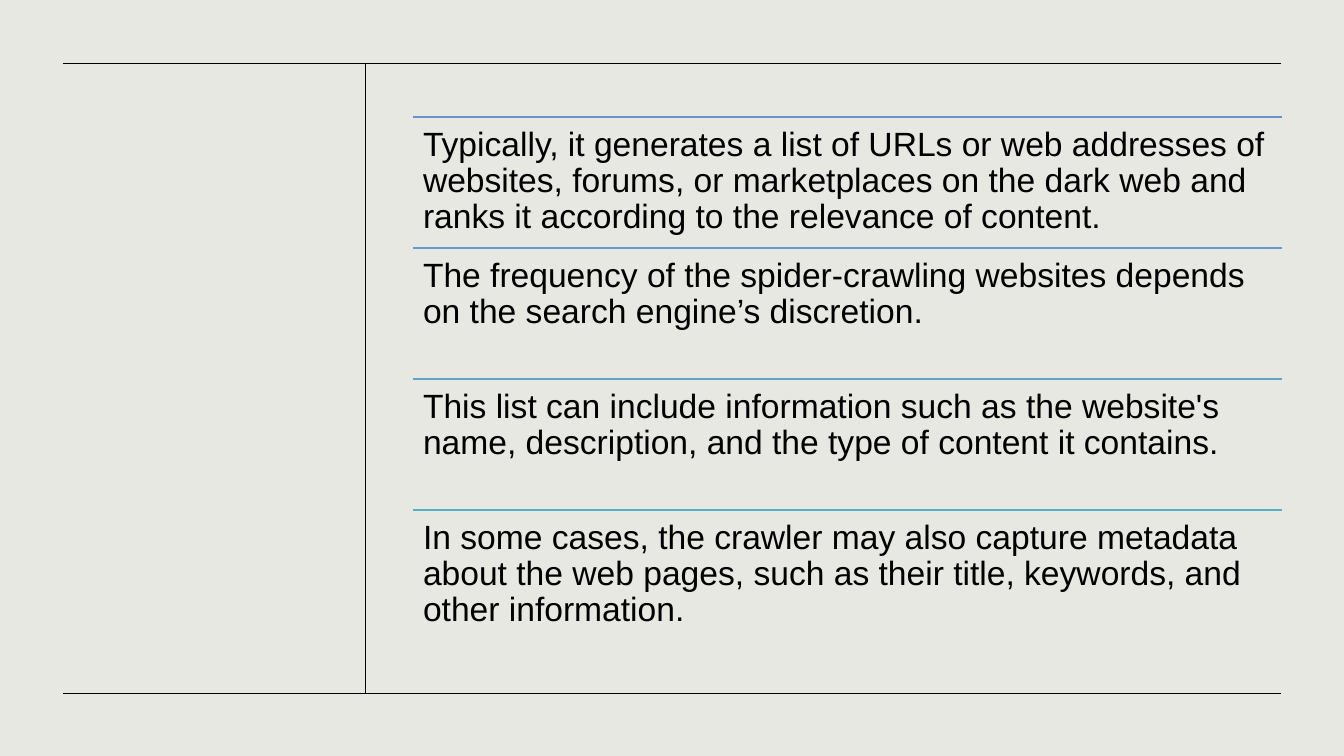
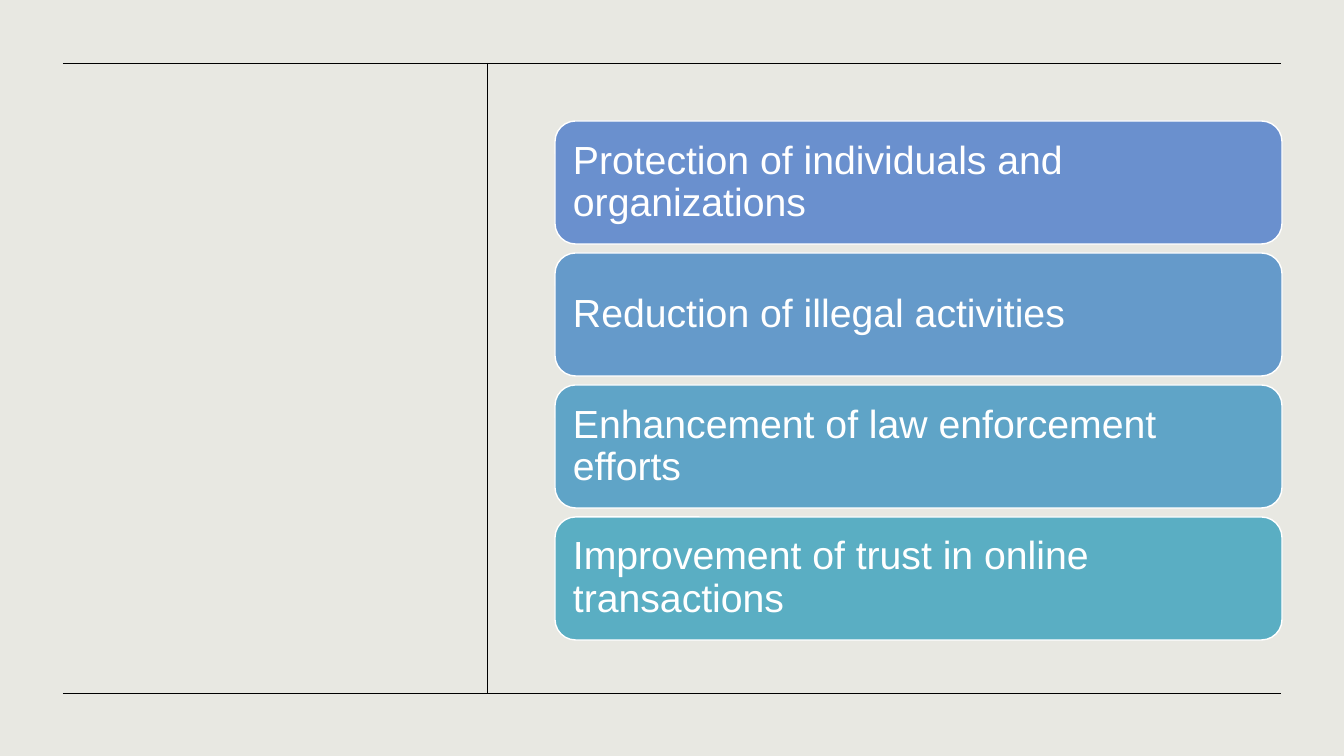
from dataclasses import dataclass

from lxml import etree
from pptx import Presentation
from pptx import util as u
from pptx.dml.color import RGBColor
from pptx.enum import shapes, text
from pptx.oxml.ns import qn

# Shared geometry (px) and style
SLIDE_W, SLIDE_H = 1344, 756
EMU_PER_PX = u.Inches(13.333) / SLIDE_W
FRAME_LEFT, FRAME_RIGHT = 63, 1281
FRAME_TOP, FRAME_BOTTOM = 63, 693
CONTENT_RIGHT = 1282

FONT = "Arial"
BACKGROUND, BLACK, WHITE = "E8E8E2", "000000", "FFFFFF"
ACCENTS = ("6A90CE", "659ACA", "5FA4C7", "5AAEC3")


@dataclass(frozen=True)
class Item:
    text: str
    accent: str


@dataclass(frozen=True)
class Stack:
    """A column of equally spaced items."""
    left: int
    top: int
    pitch: int
    height: int

    @property
    def width(self) -> int:
        return CONTENT_RIGHT - self.left

    def y(self, index: int) -> int:
        return self.top + index * self.pitch


RULED_LIST = Stack(left=413, top=117, pitch=131, height=131)
CARD_LIST = Stack(left=555, top=121, pitch=132, height=123)

CRAWLER_NOTES = (
    "Typically, it generates a list of URLs or web addresses of websites, forums, "
    "or marketplaces on the dark web and ranks it according to the relevance of content.",
    "The frequency of the spider-crawling websites depends on the search engine’s discretion.",
    "This list can include information such as the website's name, description, "
    "and the type of content it contains.",
    "In some cases, the crawler may also capture metadata about the web pages, "
    "such as their title, keywords, and other information.",
)
BENEFITS = (
    "Protection of individuals and organizations",
    "Reduction of illegal activities",
    "Enhancement of law enforcement efforts",
    "Improvement of trust in online transactions",
)


# Drawing helpers
def px(n: int) -> u.Emu:
    return u.Emu(round(n * EMU_PER_PX))


def rgb(color: str) -> RGBColor:
    return RGBColor.from_string(color)


def add_line(s, x1: int, y1: int, x2: int, y2: int, color: str, weight: float) -> None:
    line = s.shapes.add_connector(
        shapes.MSO_CONNECTOR.STRAIGHT, px(x1), px(y1), px(x2), px(y2))
    line.line.color.rgb = rgb(color)
    line.line.width = u.Pt(weight)
    etree.SubElement(line.element.spPr, qn("a:effectLst"))


def set_text(sp, content: str, *, size: int, color: str, inset: int,
             anchor=text.MSO_ANCHOR.TOP) -> None:
    tf = sp.text_frame
    tf.word_wrap = True
    tf.vertical_anchor = anchor
    tf.margin_left = tf.margin_right = tf.margin_top = tf.margin_bottom = px(inset)
    p = tf.paragraphs[0]
    p.alignment = text.PP_ALIGN.LEFT
    p.line_spacing = 0.9
    r = p.add_run()
    r.text = content
    r.font.name = FONT
    r.font.size = u.Pt(size)
    r.font.color.rgb = rgb(color)


def add_framed_slide(prs, divider_x: int):
    """Add a slide with the background, two rules and a vertical divider."""
    s = prs.slides.add_slide(prs.slide_layouts[6])
    s.background.fill.solid()
    s.background.fill.fore_color.rgb = rgb(BACKGROUND)
    for y in (FRAME_TOP, FRAME_BOTTOM):
        add_line(s, FRAME_LEFT, y, FRAME_RIGHT, y, BLACK, 0.5)
    add_line(s, divider_x, FRAME_TOP, divider_x, FRAME_BOTTOM, BLACK, 0.5)
    return s


def add_ruled_item(s, stack: Stack, index: int, item: Item) -> None:
    y = stack.y(index)
    add_line(s, stack.left, y, CONTENT_RIGHT, y, item.accent, 1)
    sp = s.shapes.add_textbox(px(stack.left), px(y), px(stack.width), px(stack.height))
    set_text(sp, item.text, size=24, color=BLACK, inset=10)


def add_card(s, stack: Stack, index: int, item: Item) -> None:
    sp = s.shapes.add_shape(
        shapes.MSO_SHAPE.ROUNDED_RECTANGLE,
        px(stack.left), px(stack.y(index)), px(stack.width), px(stack.height))
    sp.shadow.inherit = False
    sp.fill.solid()
    sp.fill.fore_color.rgb = rgb(item.accent)
    sp.line.color.rgb = rgb(WHITE)
    sp.line.width = u.Pt(1)
    set_text(sp, item.text, size=28, color=WHITE, inset=12,
             anchor=text.MSO_ANCHOR.MIDDLE)


def main() -> None:
    prs = Presentation()
    prs.slide_width, prs.slide_height = px(SLIDE_W), px(SLIDE_H)

    # Each slide: divider position, item style, column and wording
    for divider_x, add_item, stack, wording in (
        (365, add_ruled_item, RULED_LIST, CRAWLER_NOTES),
        (487, add_card, CARD_LIST, BENEFITS),
    ):
        s = add_framed_slide(prs, divider_x)
        for index, item in enumerate(map(Item, wording, ACCENTS)):
            add_item(s, stack, index, item)

    prs.save("out.pptx")


if __name__ == "__main__":
    main()
